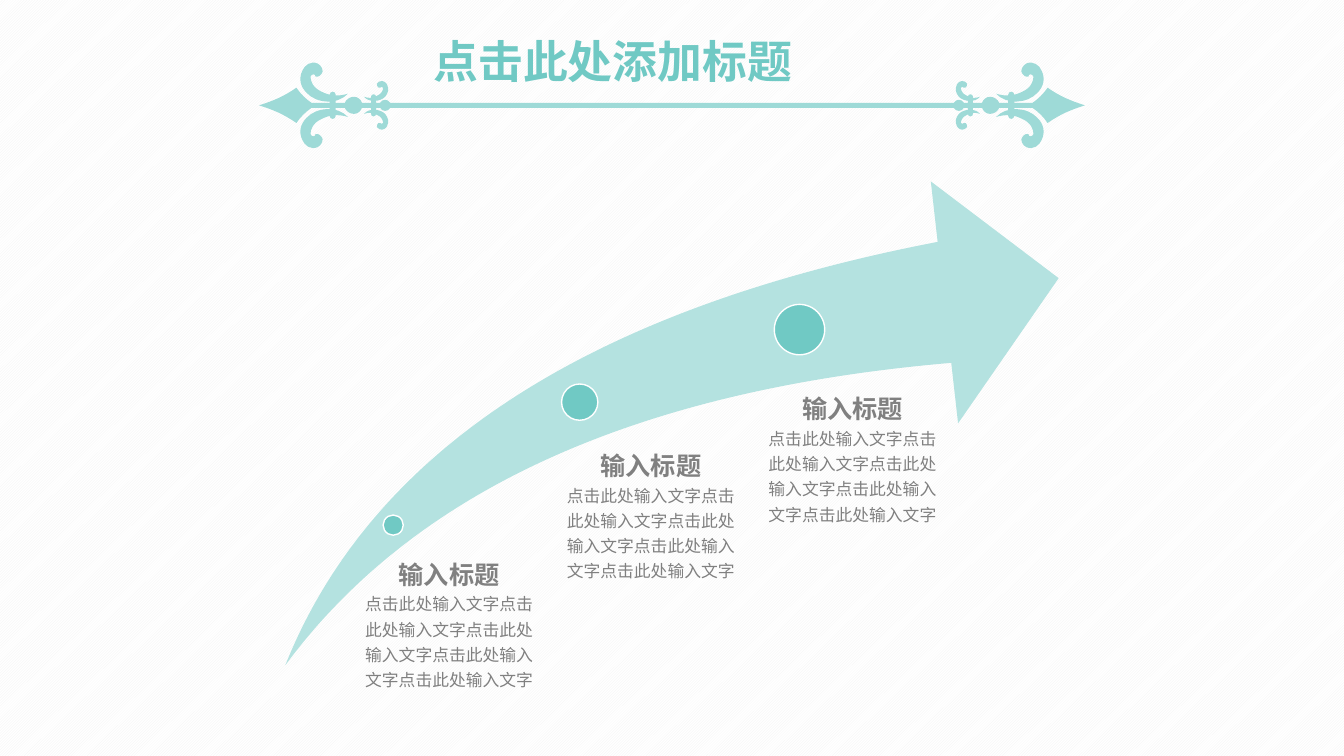
"""Build a slide with a rising arrow, three captioned steps and an ornate title rule."""
from dataclasses import dataclass

import lxml.etree
import pptx
import pptx.dml.color
import pptx.enum.dml
import pptx.enum.shapes
import pptx.enum.text
import pptx.oxml.ns
import pptx.util

Inches = pptx.util.Inches
Shape = pptx.enum.shapes.MSO_SHAPE
Align = pptx.enum.text.PP_ALIGN
Point = tuple[float, float]
Knots = list[Point]

TEAL, PALE, TRIM, GREY, WHITE = "70C9C4", "B4E2E0", "9EDAD7", "808080", "FFFFFF"
WIDE, HIGH = 13.33, 7.5
AXIS = 2.09 / 2
HEAD = "输入标题"
BODY = "点击此处输入文字" * 5

BIG_CURL = [
    (3.13, 0.76), (3.13, 0.73), (3.09, 0.73), (3.08, 0.76), (3.08, 0.8), (3.1, 0.87),
    (3.19, 0.91), (3.27, 0.95), (3.35, 0.96), (3.45, 0.93), (3.35, 1.04), (3.14, 1.03),
    (3.04, 0.92), (2.98, 0.86), (2.96, 0.78), (3, 0.7), (3.02, 0.65), (3.08, 0.6),
    (3.15, 0.63), (3.19, 0.65), (3.2, 0.69), (3.2, 0.71), (3.19, 0.74), (3.16, 0.77),
    (3.13, 0.76)]
SMALL_CURL = [
    (3.77, 0.87), (3.78, 0.86), (3.79, 0.86), (3.8, 0.87), (3.8, 0.89), (3.79, 0.93),
    (3.74, 0.95), (3.7, 0.97), (3.66, 0.98), (3.61, 0.96), (3.66, 1.02), (3.77, 1.01),
    (3.82, 0.96), (3.85, 0.92), (3.86, 0.89), (3.84, 0.84), (3.83, 0.82), (3.8, 0.79),
    (3.76, 0.81), (3.74, 0.82), (3.73, 0.84), (3.74, 0.85), (3.74, 0.86), (3.76, 0.88),
    (3.77, 0.87)]
ROD = [
    (2.57, AXIS), (2.71, 1), (2.81, 0.96), (2.94, 0.87), (2.98, 0.93), (3.03, 0.98),
    (3.09, 1.02), (3.17, 1.02), (3.34, 1.02), (3.42, 1.02), (3.43, 0.99), (3.47, 0.96),
    (3.51, 0.96), (3.55, 0.96), (3.58, 0.99), (3.59, 1.02), (3.65, 1.02), (3.71, 1.02),
    (3.77, 1.02), (3.78, 1), (3.8, 0.99), (3.82, 0.99), (3.84, 0.99), (3.86, 1),
    (3.87, 1.02)]


@dataclass
class Step:
    left: float
    top: float
    size: float
    text_top: float


@dataclass
class Collar:
    left: float
    width: float
    height: float


STEPS = [Step(3.8, 5.11, 0.2, 5.42), Step(5.57, 3.81, 0.36, 4.34), Step(7.68, 3.02, 0.5, 3.78)]
COLLARS = [Collar(3.27, 0.06, 0.27), Collar(3.68, 0.05, 0.22)]


def shade(code: str) -> pptx.dml.color.RGBColor:
    return pptx.dml.color.RGBColor.from_string(code)


def paint(shape, fill: str, line: str = "") -> None:
    shape.shadow.inherit = False
    shape.fill.solid()
    shape.fill.fore_color.rgb = shade(fill)
    if line:
        shape.line.color.rgb = shade(line)
        shape.line.width = pptx.util.Pt(1)
    else:
        shape.line.fill.background()


def draw(slide, kind, left: float, top: float, width: float, height: float,
         fill: str, line: str = ""):
    shape = slide.shapes.add_shape(
        kind, Inches(left), Inches(top), Inches(width), Inches(height))
    paint(shape, fill, line)
    return shape


def write(para, text: str, *, size: float, color: str, bold: bool = False,
          align=Align.CENTER, space: float = 1.0) -> None:
    para.alignment, para.line_spacing = align, space
    run = para.add_run()
    run.text = text
    run.font.name, run.font.size = "Calibri", pptx.util.Pt(size)
    run.font.bold, run.font.color.rgb = bold, shade(color)


def fit(frame) -> None:
    frame.word_wrap = True
    frame.vertical_anchor = pptx.enum.text.MSO_ANCHOR.TOP
    frame.auto_size = pptx.enum.text.MSO_AUTO_SIZE.SHAPE_TO_FIT_TEXT


def flip_x(knots: Knots) -> Knots:
    return [(WIDE - x, y) for x, y in knots]


def flip_y(knots: Knots) -> Knots:
    return [(x, 2 * AXIS - y) for x, y in knots]


def join(first: Knots, last: Knots) -> Knots:
    return first + [first[-1], last[0]] + last


def bend(shape) -> None:
    name = pptx.oxml.ns.qn
    lines = list(shape._element.iter(name("a:lnTo")))
    for i in range(0, len(lines), 3):
        curve = lxml.etree.Element(name("a:cubicBezTo"))
        lines[i].addprevious(curve)
        for line in lines[i:i + 3]:
            curve.append(line[0])
            line.getparent().remove(line)


def trace(group, loops: list[Knots], fill: str) -> None:
    scaled = [[(Inches(x), Inches(y)) for x, y in loop] for loop in loops]
    pen = group.shapes.build_freeform(*scaled[0][0], scale=1.0)
    for i, loop in enumerate(scaled):
        if i:
            pen.move_to(*loop[0])
        pen.add_line_segments(loop[1:], close=True)
    shape = pen.convert_to_shape()
    bend(shape)
    paint(shape, fill)


def outline(part: Collar) -> Knots:
    left, right, top = part.left, part.left + part.width, AXIS - part.height / 2
    half = part.width / 2
    mid, low, ease = left + half, top + half, half * 0.45
    arch = [(left, low), (left, top + ease), (left + ease, top), (mid, top),
            (right - ease, top), (right, top + ease), (right, low)]
    return join(arch, flip_y(arch)[::-1])


def add_steps(slide) -> None:
    arrow = draw(slide, Shape.SWOOSH_ARROW, 2.83, 1.8, 7.67, 4.8, PALE)
    arrow.adjustments[0] = arrow.adjustments[1] = 0.25
    for step in STEPS:
        draw(slide, Shape.OVAL, step.left, step.top, step.size, step.size, TEAL, WHITE)
    for i, step in enumerate(STEPS):
        box = slide.shapes.add_textbox(
            Inches(3.5 + 2 * i), Inches(step.text_top), Inches(1.91), Inches(1.49))
        frame = box.text_frame
        fit(frame)
        write(frame.paragraphs[0], HEAD, size=18, color=GREY, bold=True, space=1.25)
        write(frame.add_paragraph(), BODY, size=12, color=GREY, space=1.25)


def add_title(slide) -> None:
    title = slide.shapes.title
    title.left, title.top = Inches(4.2), Inches(0.28)
    title.width, title.height = Inches(4.93), Inches(0.64)
    fit(title.text_frame)
    write(title.text_frame.paragraphs[0], "点击此处添加标题", size=32, color=TEAL,
          bold=True, align=Align.JUSTIFY)


def add_rule(slide) -> None:
    group = slide.shapes.add_group_shape()
    upper = join(ROD, flip_x(ROD)[::-1])
    trace(group, [upper + flip_y(upper)[::-1][1:]], TRIM)
    for curl in (BIG_CURL, SMALL_CURL):
        for side in (curl, flip_x(curl)):
            trace(group, [side, flip_y(side)], TRIM)
    for part in COLLARS:
        bead = outline(part)
        for side in (bead, flip_x(bead)):
            trace(group, [side], TRIM)


def main() -> None:
    deck = pptx.Presentation()
    deck.slide_width, deck.slide_height = Inches(WIDE), Inches(HIGH)
    slide = deck.slides.add_slide(deck.slide_layouts[5])
    back = slide.background.fill
    back.patterned()
    back.pattern = pptx.enum.dml.MSO_PATTERN.DARK_UPWARD_DIAGONAL
    back.fore_color.rgb, back.back_color.rgb = shade("F2F2F2"), shade(WHITE)
    add_steps(slide)
    add_title(slide)
    add_rule(slide)
    deck.save("out.pptx")


if __name__ == "__main__":
    main()
